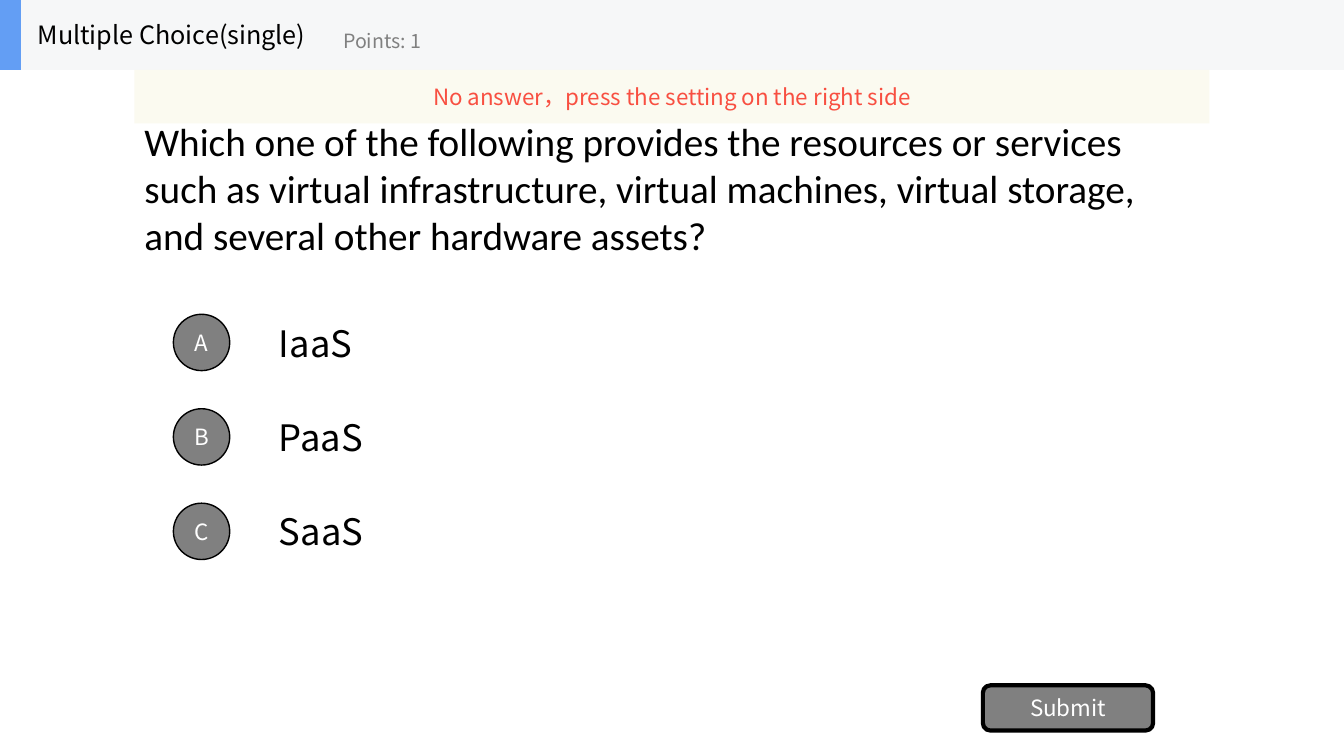
from lxml import etree
from pptx import Presentation
from pptx.dml.color import RGBColor
from pptx.enum.shapes import MSO_SHAPE as SHAPE
from pptx.enum.text import MSO_ANCHOR as ANCHOR, PP_ALIGN as ALIGN
from pptx.oxml.ns import qn
from pptx.util import Cm, Pt

COLORS = {
    "black": "000000",
    "white": "FFFFFF",
    "gray": "808080",
    "header": "F6F7F8",
    "accent": "639EF4",
    "notice": "FBFAEF",
    "warning": "F84F41",
}
SANS = "Noto Sans CJK SC"
SLIDE_W, SLIDE_H = 33.87, 19.05
HEADER_H = 1.76
BODY_X, BODY_W = 3.39, 27.09


def color(name):
    return RGBColor.from_string(COLORS[name])


def write(sp, text, size, ink, font=SANS, align=ALIGN.LEFT):
    tf = sp.text_frame
    tf.word_wrap = True
    tf.vertical_anchor = ANCHOR.MIDDLE
    p = tf.paragraphs[0]
    p.alignment = align
    r = p.add_run()
    r.text = text
    r.font.size = Pt(size)
    r.font.name = font
    r.font.color.rgb = color(ink)
    latin = r.font._element.find(qn("a:latin"))
    east_asian = etree.Element(qn("a:ea"), typeface=font)
    latin.addnext(east_asian)


def add_text(shapes, x, y, w, h, text, size, ink, font=SANS):
    sp = shapes.add_textbox(Cm(x), Cm(y), Cm(w), Cm(h))
    write(sp, text, size, ink, font)


def add_block(shapes, kind, x, y, w, h, fill, line=0):
    sp = shapes.add_shape(kind, Cm(x), Cm(y), Cm(w), Cm(h))
    sp.shadow.inherit = False
    sp.fill.solid()
    sp.fill.fore_color.rgb = color(fill)
    if line:
        sp.line.color.rgb = color("black")
        sp.line.width = Pt(line)
    else:
        sp.line.fill.background()
    return sp


def add_button(shapes, kind, x, y, w, h, label, line):
    sp = add_block(shapes, kind, x, y, w, h, "gray", line)
    tf = sp.text_frame
    tf.margin_left = tf.margin_right = tf.margin_top = tf.margin_bottom = 0
    write(sp, label, 16, "white", align=ALIGN.CENTER)


def add_header(shapes, x, y, w, h):
    group = shapes.add_group_shape().shapes
    add_block(group, SHAPE.RECTANGLE, x, y, w, h, "header")
    add_block(group, SHAPE.RECTANGLE, x, y, 0.53, h, "accent")
    add_text(group, x + 0.7, y, 7.6, h, "Multiple Choice(single)", 18, "black")
    add_text(group, x + 8.4, y + 0.31, 6.35, 1.42, "Points: 1", 14, "gray")


def add_options(shapes, x, y, w, answers, row_h=1.78, pitch=2.38, badge=1.42):
    for i, answer in enumerate(answers):
        top = y + i * pitch
        add_text(shapes, x + 2.41, top, w - 2.41, row_h, answer, 26, "black")
        add_button(shapes, SHAPE.OVAL, x, top + (row_h - badge) / 2,
                   badge, badge, "ABC"[i], 1)


def add_notice(shapes, x, y, w, h):
    sp = add_block(shapes, SHAPE.RECTANGLE, x, y, w, h, "notice")
    rgb = sp.fill._xPr.find(qn("a:solidFill"))[0]
    etree.SubElement(rgb, qn("a:alpha"), val="90000")
    write(sp, "No answer，press the setting on the right side", 16, "warning",
          align=ALIGN.CENTER)


def main():
    prs = Presentation()
    prs.slide_width, prs.slide_height = Cm(SLIDE_W), Cm(SLIDE_H)
    shapes = prs.slides.add_slide(prs.slide_layouts[6]).shapes
    add_text(shapes, BODY_X, HEADER_H, BODY_W, 5.95,
             "Which one of the following provides the resources or services "
             "such as virtual infrastructure, virtual machines, virtual storage, "
             "and several other hardware assets?", 28, "black", "Calibri")
    add_options(shapes, 4.37, 7.74, 26.11, ["IaaS", "PaaS", "SaaS"])
    add_button(shapes, SHAPE.ROUNDED_RECTANGLE, 24.77, 17.27, 4.29, 1.14, "Submit", 3)
    add_header(shapes, 0, 0, SLIDE_W, HEADER_H)
    add_notice(shapes, BODY_X, HEADER_H, BODY_W, 1.35)
    prs.save("out.pptx")


if __name__ == "__main__":
    main()
